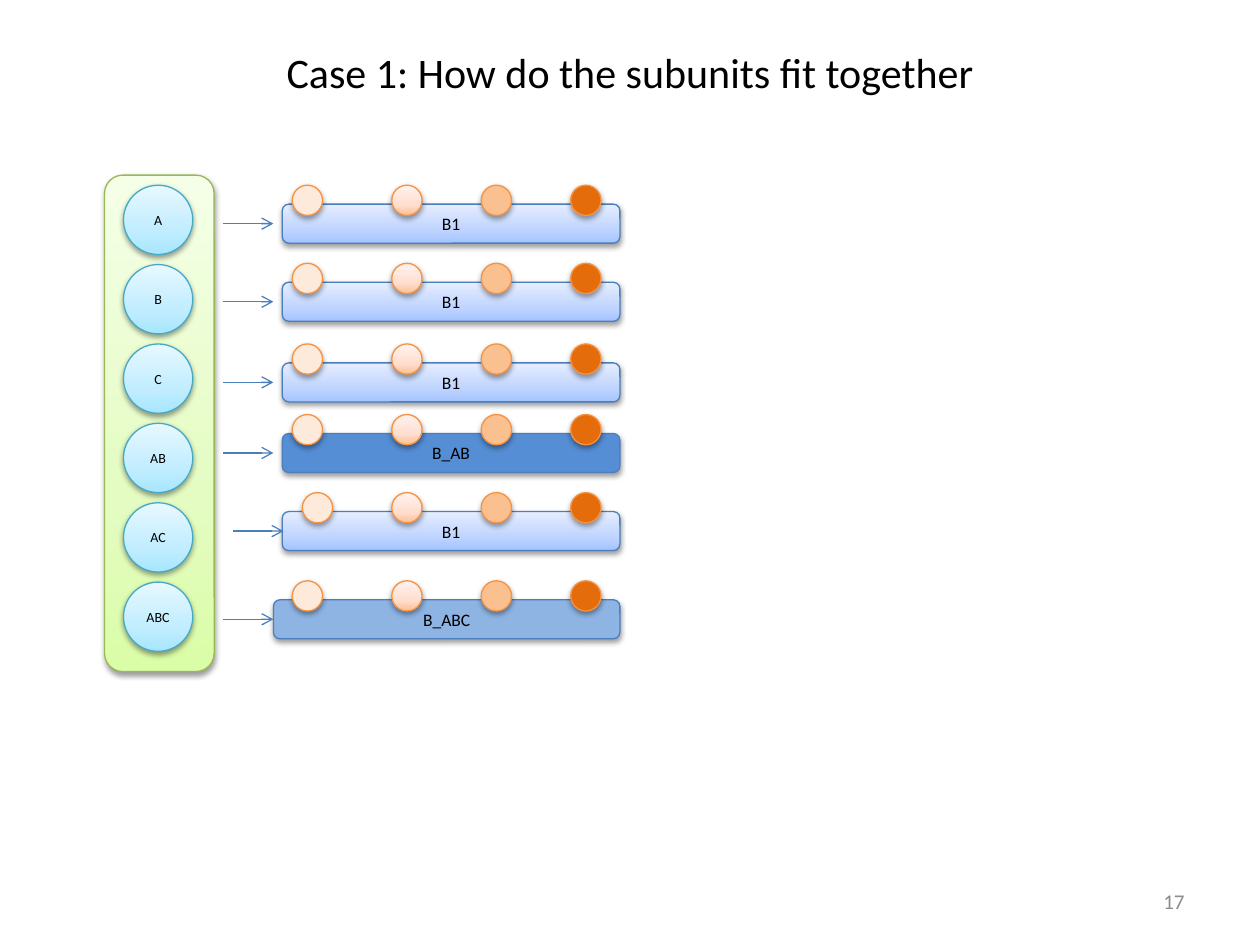
"""Build the slide that shows how the subunits fit together."""
import copy

import pptx
import pptx.chart.data
import pptx.dml.color
import pptx.enum.shapes
import pptx.enum.text
import pptx.oxml
import pptx.oxml.ns
import pptx.util
from pptx.dml.color import RGBColor

Inches = pptx.util.Inches
SHAPE = pptx.enum.shapes.MSO_SHAPE
ALIGN = pptx.enum.text.PP_ALIGN
MIDDLE = pptx.enum.text.MSO_ANCHOR.MIDDLE

BLACK = RGBColor(0x00, 0x00, 0x00)
GRAY = RGBColor(0x8C, 0x8C, 0x8C)
GREEN_LINE = RGBColor(0x98, 0xB9, 0x55)
AQUA_LINE = RGBColor(0x46, 0xAA, 0xC5)
BLUE_LINE = RGBColor(0x4B, 0x7E, 0xBC)
ORANGE_LINE = RGBColor(0xF6, 0x92, 0x40)
BLUE = RGBColor(0x55, 0x8E, 0xD5)
LIGHT_BLUE = RGBColor(0x8E, 0xB4, 0xE3)
CREAM = RGBColor(0xFD, 0xEA, 0xDA)
PEACH = RGBColor(0xFA, 0xC0, 0x90)
ORANGE = RGBColor(0xE4, 0x6C, 0x0A)
GREEN_FADE = (RGBColor(0xDA, 0xFD, 0xA7), RGBColor(0xE4, 0xFC, 0xC2), RGBColor(0xF5, 0xFF, 0xE7))
AQUA_FADE = (RGBColor(0xA7, 0xE6, 0xFF), RGBColor(0xC1, 0xED, 0xFF), RGBColor(0xE7, 0xF8, 0xFF))
BLUE_FADE = (RGBColor(0xA4, 0xC4, 0xFF), RGBColor(0xBF, 0xD4, 0xFF), RGBColor(0xE6, 0xEE, 0xFF))
PEACH_FADE = (PEACH, RGBColor(0xFF, 0xDE, 0xD0), RGBColor(0xFF, 0xF2, 0xED))

TITLE = "Case 1: How do the subunits fit together"
PAGE_NUMBER = "17"
FONT = "Calibri"
SUBUNITS = ["A", "B", "C", "AB", "AC", "ABC"]
ROWS = [
    # label, fill, bar top, bar left, first dot left, arrow left
    ("B1", BLUE_FADE, 1.62, 2.24, 2.32, 1.77),
    ("B1", BLUE_FADE, 2.24, 2.24, 2.32, 1.77),
    ("B1", BLUE_FADE, 2.88, 2.24, 2.32, 1.77),
    ("B_AB", BLUE, 3.44, 2.24, 2.32, 1.77),
    ("B1", BLUE_FADE, 4.06, 2.24, 2.4, 1.85),
    ("B_ABC", LIGHT_BLUE, 4.76, 2.17, 2.32, 1.77),
]
LATER_DOTS = [(3.11, PEACH_FADE), (3.82, PEACH), (4.53, ORANGE)]

SUBUNIT_LEFT, SUBUNIT_TOP, SUBUNIT_SIZE, SUBUNIT_STEP = 0.98, 1.47, 0.55, 0.63
BAR_RIGHT, BAR_HEIGHT = 4.92, 0.31
DOT_SIZE, DOT_RISE = 0.24, 0.15
ARROW_LENGTH = 0.4

SHADOW = (
    f'<a:outerShdw {pptx.oxml.ns.nsdecls("a")} blurRad="40000" dist="20000" dir="5400000" '
    'rotWithShape="0"><a:srgbClr val="000000"><a:alpha val="38000"/></a:srgbClr></a:outerShdw>'
)


def write(shape, text, size, color=BLACK, alignment=ALIGN.CENTER):
    frame = shape.text_frame
    frame.text = text
    frame.word_wrap = True
    frame.vertical_anchor = MIDDLE
    paragraph = frame.paragraphs[0]
    paragraph.alignment = alignment
    paragraph.font.name = FONT
    paragraph.font.size = pptx.util.Pt(size)
    paragraph.font.color.rgb = color


def paint(shape, color):
    if isinstance(color, RGBColor):
        shape.fill.solid()
        shape.fill.fore_color.rgb = color
        return
    shape.fill.gradient()
    shape.fill.gradient_angle = 90
    stop_list = shape.element.spPr.find(".//" + pptx.oxml.ns.qn("a:gsLst"))
    stop_list.insert(1, copy.deepcopy(stop_list[0]))
    for stop, position, shade in zip(shape.fill.gradient_stops, (0, 0.35, 1), color):
        stop.position = position
        stop.color.rgb = shade


def add_figure(shapes, kind, box, color, line_color):
    shape = shapes.add_shape(kind, *map(Inches, box))
    paint(shape, color)
    shape.line.color.rgb = line_color
    shape.line.width = pptx.util.Pt(0.75)
    shape.shadow.inherit = False
    effects = shape.element.spPr.find(pptx.oxml.ns.qn("a:effectLst"))
    effects.append(pptx.oxml.parse_xml(SHADOW))
    return shape


def add_arrow(shapes, left, y):
    ends = map(Inches, (left, y, left + ARROW_LENGTH, y))
    arrow = shapes.add_connector(pptx.enum.shapes.MSO_CONNECTOR.STRAIGHT, *ends)
    arrow.line.color.rgb = BLUE_LINE
    arrow.line.width = pptx.util.Pt(0.75)
    namespace = pptx.oxml.ns.nsdecls("a")
    arrow.line._get_or_add_ln().append(
        pptx.oxml.parse_xml(f'<a:tailEnd {namespace} type="arrow"/>'))
    arrow.element.spPr.append(pptx.oxml.parse_xml(f"<a:effectLst {namespace}/>"))


def add_row(slide, label, color, top, left, first_dot, arrow_left):
    shapes = slide.shapes.add_group_shape().shapes
    bar = add_figure(shapes, SHAPE.ROUNDED_RECTANGLE,
                     (left, top, BAR_RIGHT - left, BAR_HEIGHT), color, BLUE_LINE)
    write(bar, label, 10)
    for dot_left, dot_color in [(first_dot, CREAM), *LATER_DOTS]:
        add_figure(shapes, SHAPE.OVAL, (dot_left, top - DOT_RISE, DOT_SIZE, DOT_SIZE),
                   dot_color, ORANGE_LINE)
    add_arrow(shapes, arrow_left, top + BAR_HEIGHT / 2)


def main():
    presentation = pptx.Presentation()
    presentation.slide_width, presentation.slide_height = Inches(10), Inches(7.5)
    slide = presentation.slides.add_slide(presentation.slide_layouts[5])
    title = slide.shapes.title
    title.left, title.top, title.width, title.height = map(Inches, (0.5, 0.3, 9, 0.54))
    write(title, TITLE, 24)

    add_figure(slide.shapes, SHAPE.ROUNDED_RECTANGLE, (0.83, 1.39, 0.87, 3.94),
               GREEN_FADE, GREEN_LINE)
    for index, name in enumerate(SUBUNITS):
        box = (SUBUNIT_LEFT, SUBUNIT_TOP + index * SUBUNIT_STEP, SUBUNIT_SIZE, SUBUNIT_SIZE)
        circle = add_figure(slide.shapes, SHAPE.OVAL, box, AQUA_FADE, AQUA_LINE)
        write(circle, name, 8)
        circle.text_frame.margin_left = circle.text_frame.margin_right = 0
    for row in ROWS:
        add_row(slide, *row)

    number = slide.shapes.add_textbox(*map(Inches, (7.17, 6.95, 2.33, 0.4)))
    write(number, PAGE_NUMBER, 12, GRAY, ALIGN.RIGHT)
    presentation.save("out.pptx")


if __name__ == "__main__":
    main()
